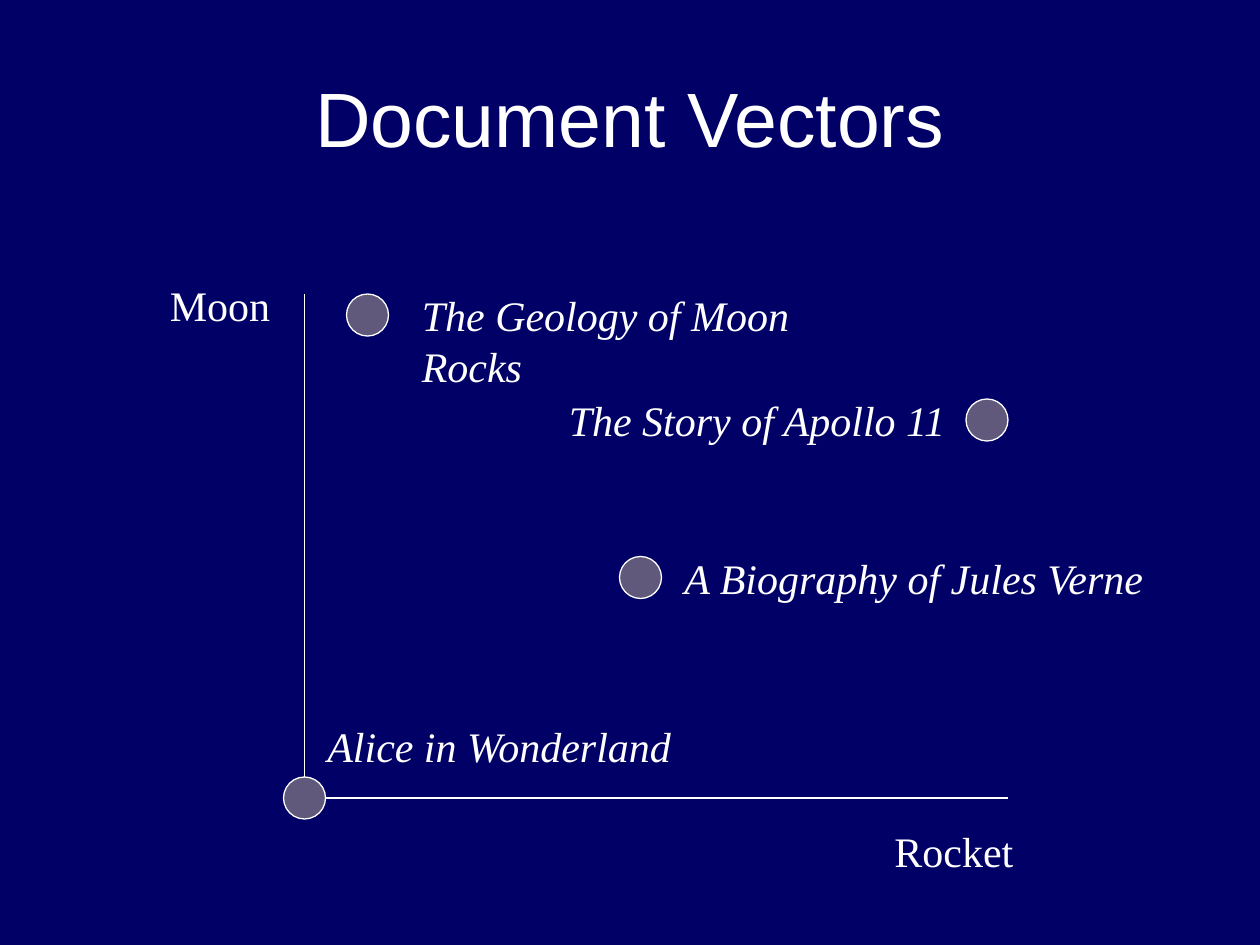
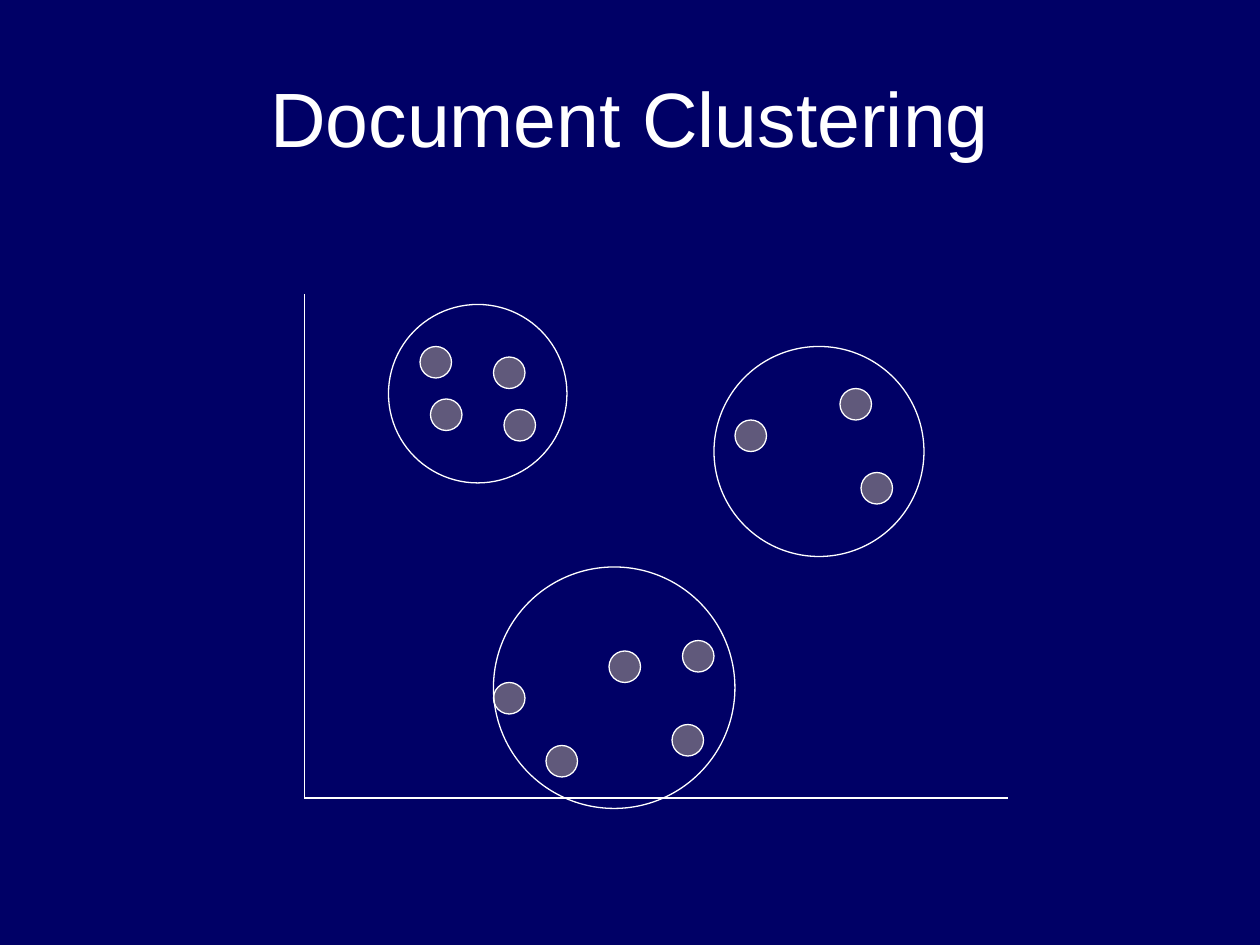
"""Build two slides on document vectors and document clustering."""
from lxml import etree
from pptx import Presentation
from pptx import util as u
from pptx.dml import color
from pptx.enum import shapes, text
from pptx.oxml import ns

PX = 9525
COLORS = {"background": "000066", "ink": "FFFFFF", "dot": "60597B"}
TITLE = {"name": "Arial", "size": u.Pt(44)}
AXIS_NAME = {"name": "Times New Roman", "size": u.Pt(24)}
BOOK = {**AXIS_NAME, "italic": True}

ORIGIN, AXIS_TOP, AXIS_RIGHT = (232, 608), 224, 768
BOOK_DOT, CLUSTER_DOT = 32, 24

AXIS_NAMES = [("Moon", (120, 208, 96, 48)), ("Rocket", (672, 624, 128, 48))]
BOOKS = [
    ("Alice in Wonderland", (216, 592), (240, 544, 284, 48)),
    ("The Geology of Moon Rocks", (264, 224), (312, 216, 383, 48)),
    ("A Biography of Jules Verne", (472, 424), (512, 416, 372, 48)),
    ("The Story of Apollo 11", (736, 304), (424, 296, 309, 48)),
]
CLUSTERS = [
    ((296, 232, 136), [(328, 304), (384, 312), (320, 264), (376, 272)]),
    ((376, 432, 184),
     [(376, 520), (464, 496), (520, 488), (416, 568), (512, 552)]),
    ((544, 264, 160), [(656, 360), (560, 320), (640, 296)]),
]


def px(*lengths):
    """Turn pixel lengths into EMU."""
    return [u.Emu(length * PX) for length in lengths]


def rgb(name):
    """Look up a named colour."""
    return color.RGBColor.from_string(COLORS[name])


def set_line(line):
    """Give an outline the shared colour and weight."""
    line.color.rgb = rgb("ink")
    line.width = u.Pt(0.75)


def add_text(slide, words, box, style, wrap=False,
             align=text.PP_ALIGN.LEFT, anchor=text.MSO_ANCHOR.TOP):
    """Add a one-paragraph text box."""
    frame = slide.shapes.add_textbox(*px(*box)).text_frame
    frame.word_wrap = wrap
    frame.vertical_anchor = anchor
    paragraph = frame.paragraphs[0]
    paragraph.text = words
    paragraph.alignment = align
    font = paragraph.runs[0].font
    font.color.rgb = rgb("ink")
    for attribute, value in style.items():
        setattr(font, attribute, value)


def add_circle(slide, left, top, diameter, fill=None):
    """Add an outlined circle, filled when a colour is named."""
    shape = slide.shapes.add_shape(
        shapes.MSO_SHAPE.OVAL, *px(left, top, diameter, diameter))
    shape.shadow.inherit = False
    set_line(shape.line)
    if fill:
        shape.fill.solid()
        shape.fill.fore_color.rgb = rgb(fill)
    else:
        shape.fill.background()


def add_axis(slide, start, end):
    """Add a straight axis line."""
    connector = slide.shapes.add_connector(
        shapes.MSO_CONNECTOR.STRAIGHT, *px(*start, *end))
    set_line(connector.line)
    etree.SubElement(connector._element.spPr, ns.qn("a:effectLst"))


def add_plot_slide(presentation, title):
    """Add a slide with the background, title and pair of axes."""
    slide = presentation.slides.add_slide(presentation.slide_layouts[6])
    slide.background.fill.solid()
    slide.background.fill.fore_color.rgb = rgb("background")
    add_text(slide, title, (48, 29, 864, 120), TITLE, wrap=True,
             align=text.PP_ALIGN.CENTER, anchor=text.MSO_ANCHOR.MIDDLE)
    add_axis(slide, (ORIGIN[0], AXIS_TOP), ORIGIN)
    add_axis(slide, ORIGIN, (AXIS_RIGHT, ORIGIN[1]))
    return slide


def add_vectors(presentation):
    """Plot books by their use of two words."""
    slide = add_plot_slide(presentation, "Document Vectors")
    for name, box in AXIS_NAMES:
        add_text(slide, name, box, AXIS_NAME)
    for book, position, box in BOOKS:
        add_circle(slide, *position, BOOK_DOT, "dot")
        add_text(slide, book, box, BOOK)


def add_clustering(presentation):
    """Plot groups of documents, each inside a ring."""
    slide = add_plot_slide(presentation, "Document Clustering")
    for ring, documents in CLUSTERS:
        for position in documents:
            add_circle(slide, *position, CLUSTER_DOT, "dot")
        add_circle(slide, *ring)


def main():
    """Build and save the presentation."""
    presentation = Presentation()
    presentation.slide_width, presentation.slide_height = px(960, 720)
    add_vectors(presentation)
    add_clustering(presentation)
    presentation.save("out.pptx")


if __name__ == "__main__":
    main()
